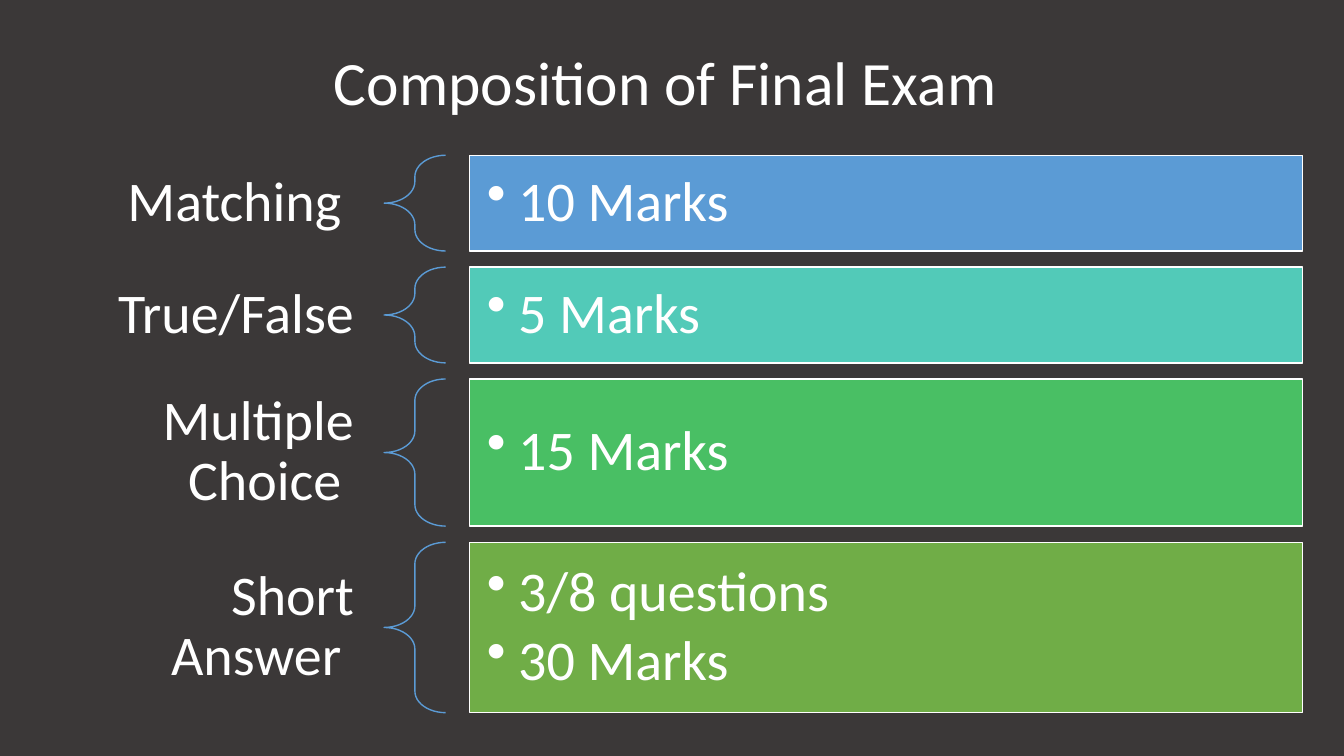
from pptx import Presentation
from pptx import util as u
from pptx.dml import color
from pptx.enum import shapes, text
from lxml import etree

DARK = color.RGBColor(0x3B, 0x38, 0x38)
WHITE = color.RGBColor(0xFF, 0xFF, 0xFF)
BLUE = color.RGBColor(0x5B, 0x9B, 0xD5)
TEAL = color.RGBColor(0x52, 0xCA, 0xB8)
GREEN = color.RGBColor(0x49, 0xBF, 0x64)
OLIVE = color.RGBColor(0x70, 0xAD, 0x47)
NS = "{http://schemas.openxmlformats.org/drawingml/2006/main}"


def write(par, words, size, align):
    par.alignment = align
    par.line_spacing = 0.9
    run = par.add_run()
    run.text = words
    run.font.size = u.Pt(size)
    run.font.name = "Calibri"
    run.font.color.rgb = WHITE


def inset(frame, side, top):
    frame.word_wrap = True
    frame.vertical_anchor = text.MSO_ANCHOR.MIDDLE
    frame.margin_left = frame.margin_right = u.Inches(side)
    frame.margin_top = frame.margin_bottom = u.Inches(top)


deck = Presentation()
deck.slide_width = u.Inches(13.33)
deck.slide_height = u.Inches(7.5)
slide = deck.slides.add_slide(deck.slide_layouts[5])
slide.background.fill.solid()
slide.background.fill.fore_color.rgb = DARK

title = slide.shapes.title
title.left, title.top = u.Inches(0.92), u.Inches(0.4)
title.width, title.height = u.Inches(11.5), u.Inches(0.9)
inset(title.text_frame, 0.1, 0.05)
write(title.text_frame.paragraphs[0], "Composition of Final Exam ", 44, text.PP_ALIGN.CENTER)

parts = [
    ("Matching ", ["10 Marks"], BLUE, 0.95, 0.87),
    ("True/False ", ["5 Marks"], TEAL, 0.95, 0.87),
    ("Multiple Choice ", ["15 Marks"], GREEN, 1.46, 1.46),
    ("Short Answer ", ["3/8 questions", "30 Marks"], OLIVE, 1.69, 1.46),
]
gap = 0.16
top = 1.54
for name, marks, fill, high, tall in parts:
    label = slide.shapes.add_textbox(
        u.Inches(0.78), u.Inches(top + (high - tall) / 2), u.Inches(3.04), u.Inches(tall))
    inset(label.text_frame, 0.31, 0.11)
    write(label.text_frame.paragraphs[0], name, 40, text.PP_ALIGN.RIGHT)

    brace = slide.shapes.add_shape(
        shapes.MSO_SHAPE.LEFT_BRACE, u.Inches(3.81), u.Inches(top), u.Inches(0.61), u.Inches(high))
    brace.adjustments[0] = 0.35
    brace.adjustments[1] = 0.5
    brace.fill.background()
    brace.line.color.rgb = BLUE

    bar = slide.shapes.add_shape(
        shapes.MSO_SHAPE.RECTANGLE, u.Inches(4.66), u.Inches(top), u.Inches(8.26), u.Inches(high))
    bar.fill.solid()
    bar.fill.fore_color.rgb = fill
    bar.line.color.rgb = WHITE
    for shape in (brace, bar):
        shape.shadow.inherit = False
        shape.line.width = u.Pt(1)

    frame = bar.text_frame
    inset(frame, 0.17, 0.17)
    for i, mark in enumerate(marks):
        par = frame.add_paragraph() if i else frame.paragraphs[0]
        props = par._p.get_or_add_pPr()
        props.set("marL", str(u.Inches(0.31)))
        props.set("indent", str(u.Inches(-0.31)))
        etree.SubElement(props, NS + "buChar", char="•")
        par.level = 1
        par.space_after = u.Pt(6)
        write(par, mark, 40, text.PP_ALIGN.LEFT)
    top += high + gap

deck.save("out.pptx")
